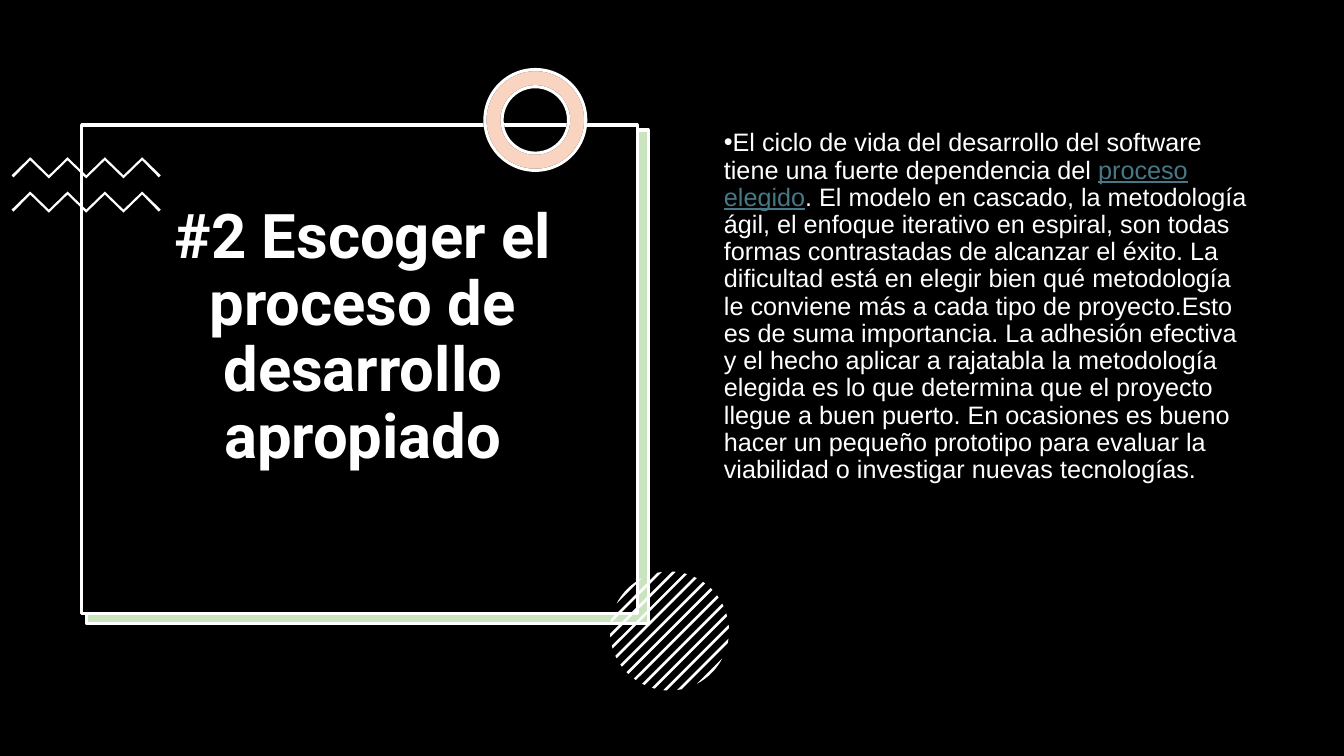
from math import sqrt

from lxml.etree import SubElement
from pptx import Presentation
from pptx.dml.color import RGBColor
from pptx.enum.shapes import MSO_SHAPE as Preset
from pptx.enum.text import MSO_ANCHOR as Anchor, MSO_AUTO_SIZE as AutoSize, PP_ALIGN as Align
from pptx.oxml.ns import qn
from pptx.util import Inches, Pt

ROWS = 75
WHITE, BLACK, GREEN, ORANGE, LINK = "FFFFFF", "000000", "4EA72E", "E97132", "467886"

TITLE = "#2 Escoger el proceso de desarrollo apropiado"
BODY = [
    ("El ciclo de vida del desarrollo del software tiene una fuerte dependencia del ", WHITE, False),
    ("proceso elegido", LINK, True),
    (". El modelo en cascado, la metodología ágil, el enfoque iterativo en espiral, son todas "
     "formas contrastadas de alcanzar el éxito. La dificultad está en elegir bien qué metodología "
     "le conviene más a cada tipo de proyecto.Esto es de suma importancia. La adhesión efectiva "
     "y el hecho aplicar a rajatabla la metodología elegida es lo que determina que el proyecto "
     "llegue a buen puerto. En ocasiones es bueno hacer un pequeño prototipo para evaluar la "
     "viabilidad o investigar nuevas tecnologías.", WHITE, False),
]


def paint(fill, color, alpha=None):
    """Give a fill a solid colour, with an optional opacity in percent."""
    fill.solid()
    fill.fore_color.rgb = RGBColor.from_string(color)
    if alpha is not None:
        node = fill._xPr.find(qn("a:solidFill"))[0]
        SubElement(node, qn("a:alpha"), val=str(alpha * 1000))


class Painter:
    """Holds the slide, its grid of square cells and the shared style."""

    def __init__(self, deck):
        """Add a black page with a title and a body."""
        self.cell = deck.slide_height / ROWS
        self.page = deck.slides.add_slide(deck.slide_layouts[1])
        paint(self.page.background.fill, BLACK)

    def grid(self, *cells):
        """Turn grid cells into slide lengths."""
        return [round(value * self.cell) for value in cells]

    def style(self, shape, color, alpha=None, line=None):
        """Set fill and outline and drop the shadow."""
        shape.shadow.inherit = False
        paint(shape.fill, color, alpha)
        if line:
            paint(shape.line.fill, line)
            shape.line.width = Pt(2.25)
        else:
            shape.line.fill.background()

    def preset(self, kind, at, color, alpha=None, line=None):
        """Draw a preset shape."""
        shape = self.page.shapes.add_shape(kind, *self.grid(*at))
        self.style(shape, color, alpha, line)
        return shape

    def outline(self, points):
        """Draw a closed white polygon."""
        corners = [tuple(self.grid(*point)) for point in points]
        builder = self.page.shapes.build_freeform(*corners[0])
        builder.add_line_segments(corners[1:], close=True)
        self.style(builder.convert_to_shape(), WHITE)

    def zigzag(self, left, top, step=1.85, height=1.8, thick=0.3):
        """Draw a thin zigzag band with four peaks."""
        upper = [(left + i * step, top + (0 if i % 2 else height)) for i in range(9)]
        lower = [(x, y + thick) for x, y in upper[1:-1]]
        ends = [(left + 8 * step - 0.2, top + height + 0.2), (left + 0.2, top + height + 0.2)]
        self.outline(upper + ends[:1] + lower[::-1] + ends[1:])

    def hatched_circle(self, x, y, radius, pitch=0.96, thick=0.26, steps=8):
        """Draw a circle made of thirteen diagonal stripes."""
        for stripe in range(-6, 7):
            near = max(stripe * pitch - thick / 2, -radius)
            far = min(stripe * pitch + thick / 2, radius)
            offsets = [near + (far - near) * i / steps for i in range(steps + 1)]
            sides = [(d, sqrt(max(radius ** 2 - d ** 2, 0))) for d in offsets]
            rim = sides + [(d, -half) for d, half in reversed(sides)]
            self.outline([(x + (d + half) / sqrt(2), y + (d - half) / sqrt(2)) for d, half in rim])

    def text(self, box, at, spans, size, font, anchor, align, bold=False, foot=0.5):
        """Move a placeholder to the front, fill it and return its paragraph."""
        box.element.getparent().append(box.element)
        box.left, box.top, box.width, box.height = self.grid(*at)
        frame = box.text_frame
        frame.word_wrap, frame.auto_size, frame.vertical_anchor = True, AutoSize.NONE, anchor
        frame.margin_left, frame.margin_top, frame.margin_right, frame.margin_bottom = self.grid(
            1, 0.5, 1, foot)
        para = frame.paragraphs[0]
        para.alignment, para.line_spacing, para.space_before = align, 0.9, Pt(0)
        for words, color, underline in spans:
            span = para.add_run()
            span.text = words
            span.font.name, span.font.size = font, Pt(size)
            span.font.bold, span.font.underline = bold, underline
            paint(span.font.fill, color)
        return para

    def bullet(self, para):
        """Put a white bullet right before the text."""
        props = para._p.get_or_add_pPr()
        props.set("marL", "0")
        props.set("indent", "0")
        color = SubElement(props, qn("a:buClr"))
        SubElement(color, qn("a:srgbClr"), val=WHITE)
        SubElement(props, qn("a:buFont"), typeface="Arial")
        SubElement(props, qn("a:buChar"), char="•")


def main():
    """Build the slide and save it."""
    deck = Presentation()
    deck.slide_width, deck.slide_height = Inches(13.33), Inches(7.5)
    painter = Painter(deck)

    painter.preset(Preset.RECTANGLE, (8.5, 13, 55.7, 49), WHITE)
    painter.preset(Preset.RECTANGLE, (8.6, 12.9, 55.7, 49), GREEN, 30, WHITE)
    painter.preset(Preset.RECTANGLE, (8.1, 12.4, 55.1, 48.5), BLACK, line=WHITE)
    for top in (15.6, 19):
        painter.zigzag(1.15, top)
    for color, alpha, line in ((WHITE, None, BLACK), (ORANGE, 30, WHITE)):
        ring = painter.preset(Preset.DONUT, (48.1, 6.9, 10, 10), color, alpha, line)
        ring.adjustments[0] = 0.17
    painter.hatched_circle(66.4, 62.6, 5.9)

    title, body = painter.page.placeholders
    painter.text(title, (9.2, 15.2, 53.6, 44.2), [(TITLE, WHITE, False)], 44, "Roboto",
                 Anchor.MIDDLE, Align.CENTER, bold=True, foot=7.9)
    para = painter.text(body, (70.8, 12.4, 54.4, 47.6), BODY, 18, "Arial", Anchor.TOP, Align.LEFT)
    painter.bullet(para)
    deck.save("out.pptx")


if __name__ == "__main__":
    main()
